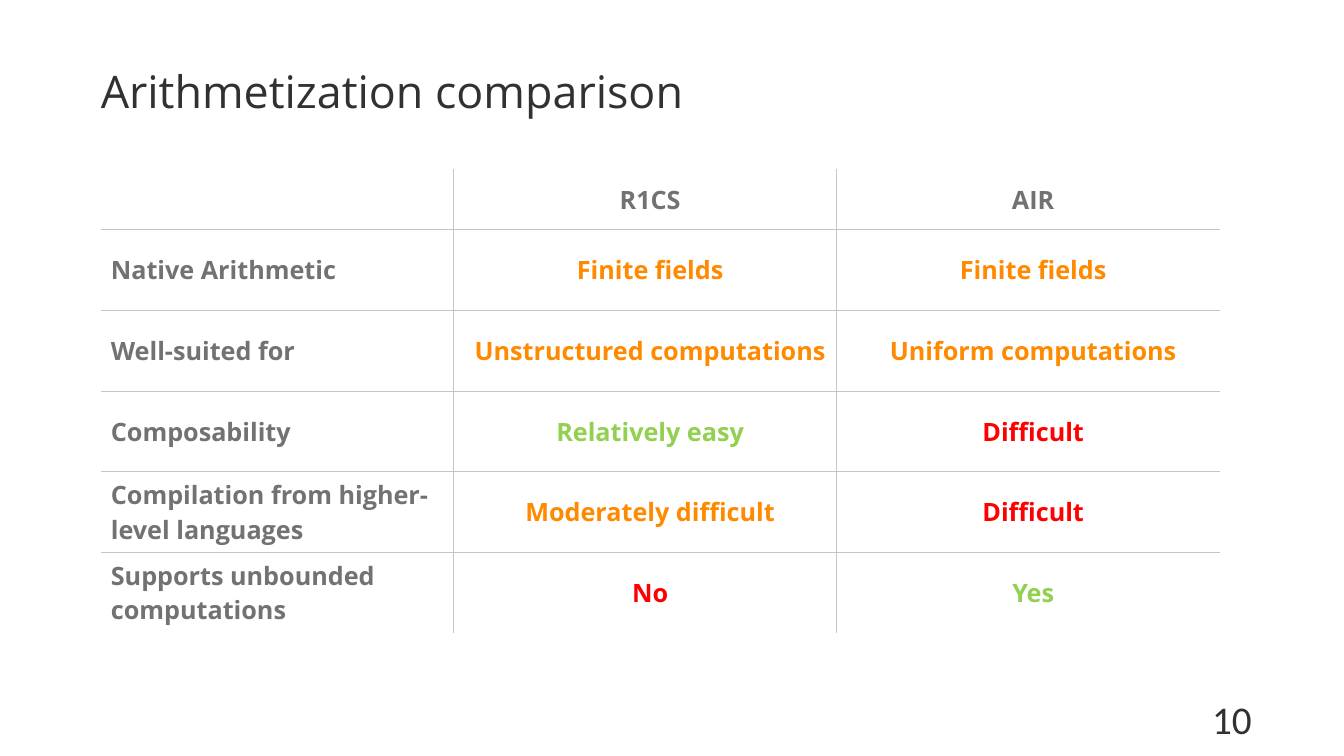
from lxml import etree
from pptx import Presentation
from pptx.dml.color import RGBColor
from pptx.enum import text
from pptx.oxml import ns
from pptx.util import Pt

DARK = RGBColor(0x31, 0x31, 0x31)
GRAY = RGBColor(0x72, 0x72, 0x72)
RULE = RGBColor(0xC5, 0xC5, 0xC5)
ORANGE = RGBColor(0xFF, 0x8A, 0x00)
GREEN = RGBColor(0x92, 0xD0, 0x50)
RED = RGBColor(0xFF, 0x00, 0x00)

LEFT, CENTER = text.PP_ALIGN.LEFT, text.PP_ALIGN.CENTER
MIDDLE, TOP = text.MSO_ANCHOR.MIDDLE, text.MSO_ANCHOR.TOP

COLUMN_WIDTHS = (252, 273.6, 273.6)
HEADER_HEIGHT = 43.2
ROWS = (
    (("", GRAY), ("R1CS", GRAY), ("AIR", GRAY)),
    (("Native Arithmetic", GRAY), ("Finite fields", ORANGE), ("Finite fields", ORANGE)),
    (("Well-suited for", GRAY), ("Unstructured computations", ORANGE),
     ("Uniform computations", ORANGE)),
    (("Composability", GRAY), ("Relatively easy", GREEN), ("Difficult", RED)),
    (("Compilation from higher-level languages", GRAY), ("Moderately difficult", ORANGE),
     ("Difficult", RED)),
    (("Supports unbounded computations", GRAY), ("No", RED), ("Yes", GREEN)),
)


def write_text(frame, content, *, size, color, font="Open Sans", bold=False, align=LEFT):
    paragraph = frame.paragraphs[0]
    paragraph.alignment = align
    run = paragraph.add_run()
    run.text = content
    run.font.name = font
    run.font.size = Pt(size)
    run.font.bold = bold
    run.font.color.rgb = color


def add_text_box(slide, box, content, *, side_inset, anchor, **text_format):
    frame = slide.shapes.add_textbox(*map(Pt, box)).text_frame
    frame.word_wrap = True
    frame.vertical_anchor = anchor
    frame.margin_left = frame.margin_right = Pt(side_inset)
    write_text(frame, content, **text_format)


def set_borders(cell, visible_edges):
    """Rule the given edges (L, R, T, B) and clear the others."""
    properties = cell._tc.get_or_add_tcPr()
    for index, edge in enumerate("LRTB"):
        line = etree.Element(ns.qn(f"a:ln{edge}"), w=str(Pt(1)))
        if edge in visible_edges:
            fill = etree.SubElement(line, ns.qn("a:solidFill"))
            etree.SubElement(fill, ns.qn("a:srgbClr"), val=str(RULE))
        else:
            etree.SubElement(line, ns.qn("a:noFill"))
        properties.insert(index, line)


def add_comparison_table(slide, box):
    height = box[3]
    table = slide.shapes.add_table(len(ROWS), len(COLUMN_WIDTHS), *map(Pt, box)).table
    table.first_row = table.horz_banding = False

    # Column widths and row heights
    for column, width in zip(table.columns, COLUMN_WIDTHS):
        column.width = Pt(width)
    last_row, last_column = len(ROWS) - 1, len(COLUMN_WIDTHS) - 1
    for row in table.rows:
        row.height = Pt((height - HEADER_HEIGHT) / last_row)
    table.rows[0].height = Pt(HEADER_HEIGHT)

    # Cells, with rules on the inner edges only
    for r, row in enumerate(ROWS):
        for c, (content, color) in enumerate(row):
            cell = table.cell(r, c)
            cell.fill.background()
            is_label = c == 0
            cell.margin_left, cell.margin_right = (
                (Pt(7.2), Pt(14.4)) if is_label else (Pt(14.4), Pt(7.2)))
            cell.vertical_anchor = MIDDLE
            inner = {"L": c > 0, "R": c < last_column, "T": r > 0, "B": r < last_row}
            set_borders(cell, [edge for edge, shown in inner.items() if shown])
            if content:
                write_text(cell.text_frame, content, size=18, color=color, bold=True,
                           align=LEFT if is_label else CENTER)


def build_comparison_slide(presentation):
    slide = presentation.slides.add_slide(presentation.slide_layouts[6])
    # Title
    add_text_box(slide, (72, 36, 816, 57.6), "Arithmetization comparison",
                 side_inset=0, anchor=MIDDLE, size=32, color=DARK)
    # Page number
    add_text_box(slide, (800, 493.2, 160, 28.8), "10", side_inset=7.2, anchor=TOP,
                 size=28, color=DARK, font="Calibri", align=CENTER)
    # Comparison
    add_comparison_table(slide, (72, 121, sum(COLUMN_WIDTHS), 331.2))


def main():
    presentation = Presentation()
    presentation.slide_width, presentation.slide_height = Pt(960), Pt(540)
    build_comparison_slide(presentation)
    presentation.save("out.pptx")


if __name__ == "__main__":
    main()
